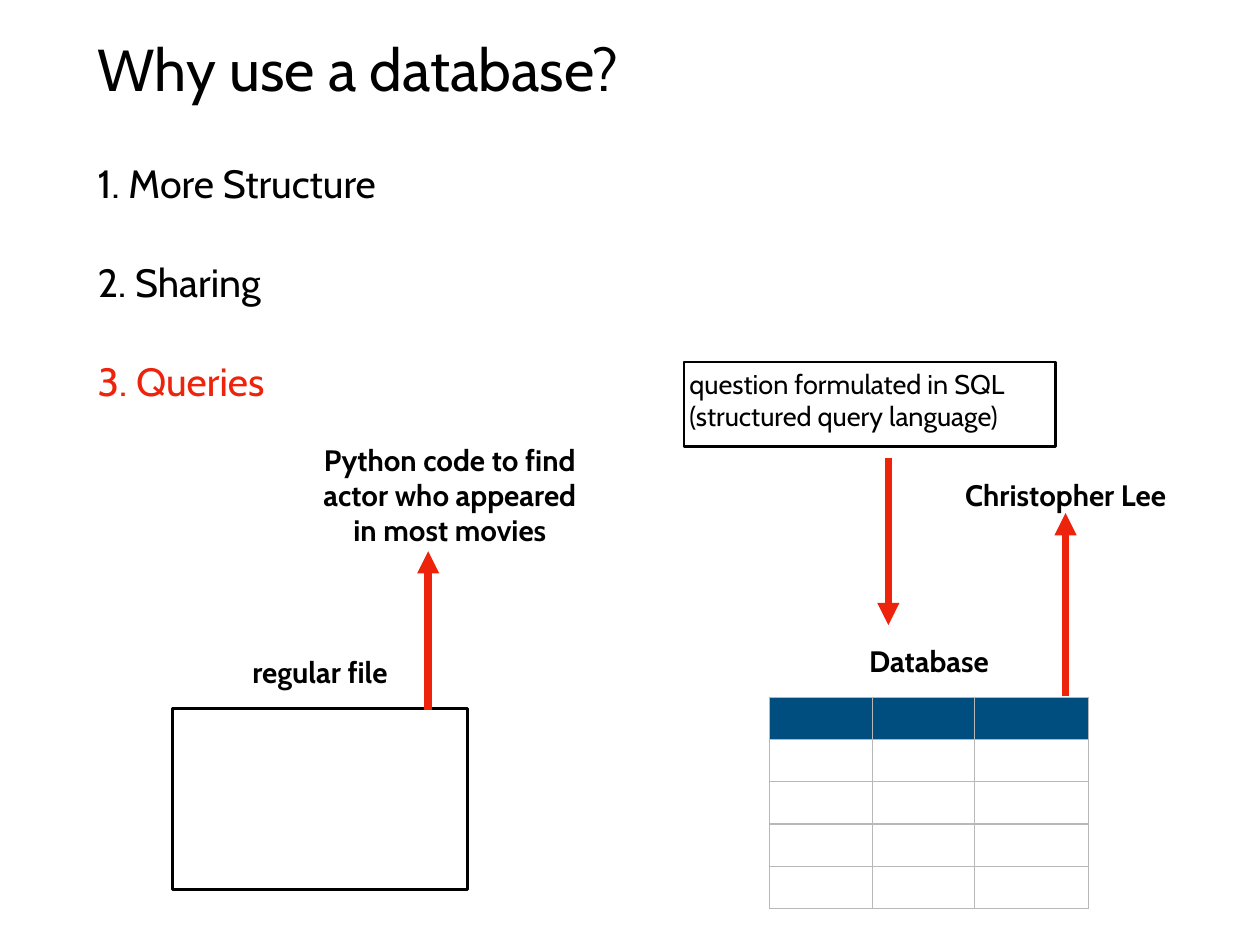
"""Build the slide that explains why to use a database."""
from dataclasses import dataclass

from lxml import etree
from pptx import Presentation
from pptx import util as u
from pptx.dml.color import RGBColor
from pptx.enum import shapes, text
from pptx.oxml import ns

Pt = u.Pt


@dataclass(frozen=True)
class Theme:
    """Colours, font and type sizes of the slide."""
    font: str = "Cabin"
    ink: str = "000000"
    paper: str = "FFFFFF"
    accent: str = "EE230C"
    header: str = "004D80"
    grid: str = "B8B8B8"
    title: int = 48
    body: int = 32
    label: int = 24
    note: int = 22
    inset: float = 4.3


class Board:
    """Draws elements on one slide in one style."""

    def __init__(self, slide, theme):
        """Keep the slide and its theme."""
        self.slide = slide
        self.theme = theme

    def typeset(self, frame, words, size, bold=False, align=text.PP_ALIGN.LEFT,
                anchor=text.MSO_ANCHOR.TOP, gap=0):
        """Fill a text frame and format its paragraphs."""
        frame.text = words
        frame.vertical_anchor = anchor
        frame.margin_left = frame.margin_right = Pt(self.theme.inset)
        frame.margin_top = frame.margin_bottom = Pt(self.theme.inset)
        for index, line in enumerate(frame.paragraphs):
            line.alignment = align
            if index and gap:
                line.space_before = Pt(gap)
            for run in line.runs:
                run.font.name = self.theme.font
                run.font.size = Pt(size)
                run.font.bold = bold
                run.font.color.rgb = RGBColor.from_string(self.theme.ink)
        return frame.paragraphs

    def text(self, place, words, size, **style):
        """Add a wrapping text box and return its paragraphs."""
        frame = self.slide.shapes.add_textbox(*map(Pt, place)).text_frame
        frame.word_wrap = True
        return self.typeset(frame, words, size, **style)

    def label(self, place, words):
        """Add a bold centred label that fits its text."""
        frame = self.slide.shapes.add_textbox(*map(Pt, place)).text_frame
        self.typeset(frame, words, self.theme.label, bold=True,
                     align=text.PP_ALIGN.CENTER, anchor=text.MSO_ANCHOR.MIDDLE)
        frame.word_wrap = False
        frame.auto_size = text.MSO_AUTO_SIZE.SHAPE_TO_FIT_TEXT

    def box(self, place, words=""):
        """Add an outlined rectangle, with text if there is any."""
        outline = self.slide.shapes.add_shape(
            shapes.MSO_SHAPE.RECTANGLE, *map(Pt, place))
        outline.shadow.inherit = False
        outline.fill.solid()
        outline.fill.fore_color.rgb = RGBColor.from_string(self.theme.paper)
        outline.line.color.rgb = RGBColor.from_string(self.theme.ink)
        outline.line.width = Pt(2)
        if words:
            self.typeset(outline.text_frame, words, self.theme.note)

    def arrow(self, x, start, end):
        """Add a vertical arrow from start to end."""
        arrow = self.slide.shapes.add_connector(
            shapes.MSO_CONNECTOR.STRAIGHT, Pt(x), Pt(start), Pt(x), Pt(end))
        arrow.line.color.rgb = RGBColor.from_string(self.theme.accent)
        arrow.line.width = Pt(6)
        properties = arrow._element.spPr
        etree.SubElement(properties.get_or_add_ln(), ns.qn("a:tailEnd"), type="triangle")
        etree.SubElement(properties, ns.qn("a:effectLst"))

    def table(self, left, top, widths, rows, row_height):
        """Add an empty table with a coloured header row."""
        grid = self.slide.shapes.add_table(
            rows, len(widths), Pt(left), Pt(top),
            Pt(sum(widths)), Pt(rows * row_height)).table
        grid.horz_banding = False
        for column, width in zip(grid.columns, widths):
            column.width = Pt(width)
        for index, row in enumerate(grid.rows):
            row.height = Pt(row_height)
            for cell in row.cells:
                self.border(cell)
                cell.fill.solid()
                cell.fill.fore_color.rgb = RGBColor.from_string(
                    self.theme.paper if index else self.theme.header)

    def border(self, cell):
        """Draw a thin line on every side of a cell."""
        properties = cell._tc.get_or_add_tcPr()
        for side in ("lnL", "lnR", "lnT", "lnB"):
            line = etree.SubElement(properties, ns.qn(f"a:{side}"), w=str(Pt(1)))
            fill = etree.SubElement(line, ns.qn("a:solidFill"))
            etree.SubElement(fill, ns.qn("a:srgbClr"), val=self.theme.grid)


def main():
    """Compose the slide and save it."""
    deck = Presentation()
    deck.slide_width, deck.slide_height = Pt(1024), Pt(768)
    theme = Theme()
    board = Board(deck.slides.add_slide(deck.slide_layouts[6]), theme)

    board.text((75, 20, 874, 71), "Why use a database?", theme.title,
               anchor=text.MSO_ANCHOR.MIDDLE)
    reasons = board.text((75, 125, 874, 251),
                         "1. More Structure\n2. Sharing\n3. Queries",
                         theme.body, gap=42)
    reasons[-1].runs[0].font.color.rgb = RGBColor.from_string(theme.accent)

    board.label((694, 519, 122, 36), "Database")
    board.table(625, 566.5, (84, 83, 93), rows=5, row_height=34.4)
    board.label((190, 528, 140, 36), "regular file")
    board.box((140, 576, 240, 147))
    board.arrow(348, 577, 448)
    board.label((236, 356, 259, 92),
                "Python code to find\nactor who appeared\nin most movies")
    board.arrow(722, 372, 508)
    board.arrow(866, 566, 417)
    board.label((763, 384, 206, 36), "Christopher Lee")
    board.box((556, 294, 302, 69),
              "question formulated in SQL\n(structured query language)")

    deck.save("out.pptx")


if __name__ == "__main__":
    main()
